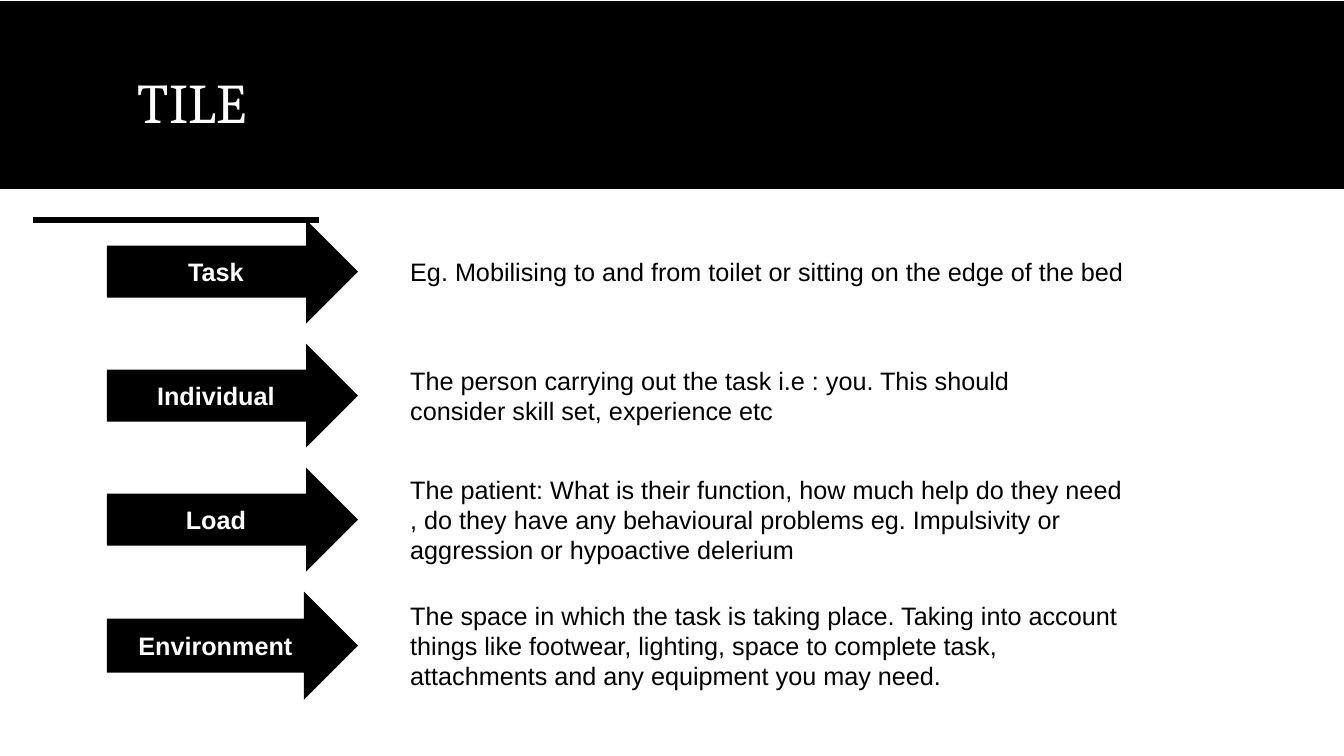
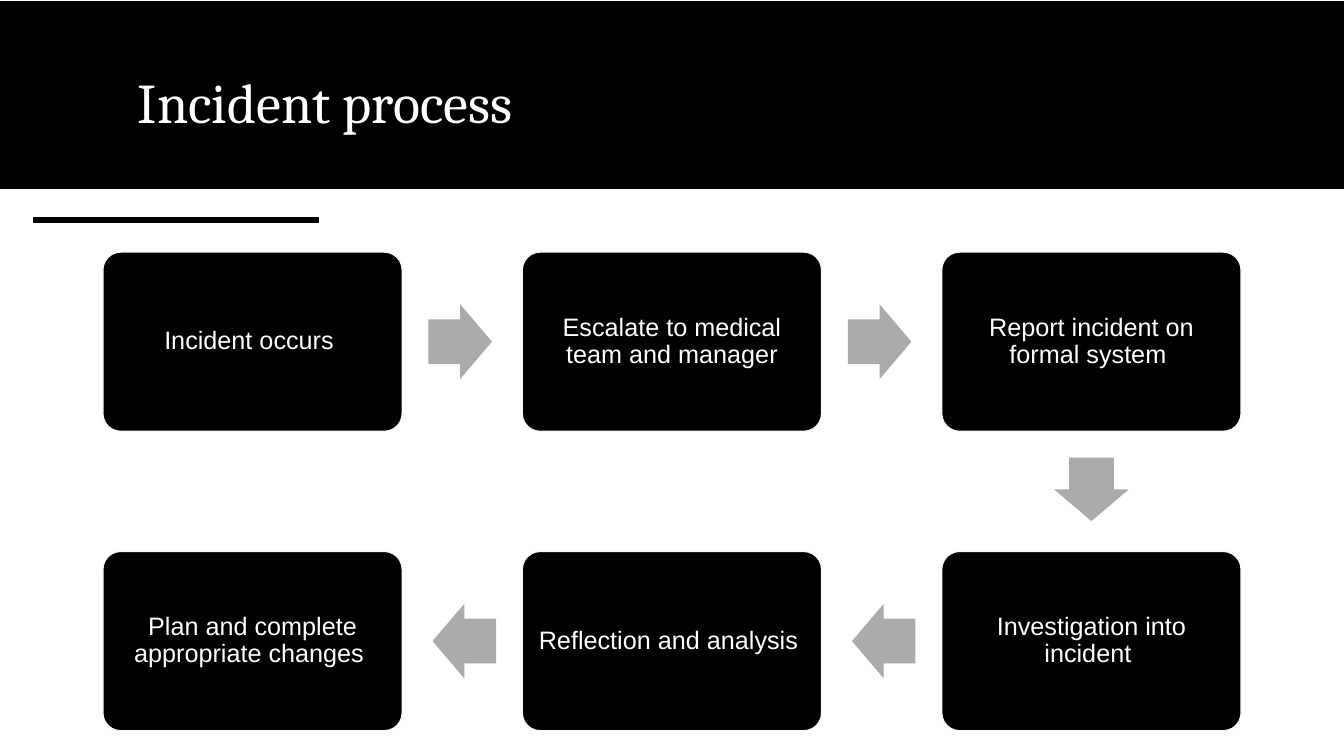
import math
from itertools import pairwise

from lxml import etree
from pptx import Presentation
from pptx.dml.color import RGBColor
from pptx.enum.shapes import MSO_CONNECTOR, MSO_SHAPE
from pptx.enum.text import MSO_ANCHOR, PP_ALIGN
from pptx.oxml.ns import qn
from pptx.util import Inches, Pt

RECTANGLE = MSO_SHAPE.RECTANGLE
ROUNDED = MSO_SHAPE.ROUNDED_RECTANGLE
ARROW = MSO_SHAPE.RIGHT_ARROW
STRAIGHT = MSO_CONNECTOR.STRAIGHT
TOP, MIDDLE = MSO_ANCHOR.TOP, MSO_ANCHOR.MIDDLE
LEFT, CENTER = PP_ALIGN.LEFT, PP_ALIGN.CENTER

BLACK, WHITE, GREY, EDGE = "000000", "FFFFFF", "ABABAB", "F8F8F8"
BODY_FONT, TITLE_FONT = "Arial", "Cambria"

TILE_ROWS = [
    ("Task ", "Eg. Mobilising to and from toilet or sitting on the edge of the bed ", 7.39, 1.03),
    ("Individual ", "The person carrying out the task i.e : you. This should consider "
     "skill set, experience etc ", 6.82, 1.03),
    ("Load ", "The patient: What is their function, how much help do they need , "
     "do they have any behavioural problems eg. Impulsivity or aggression or "
     "hypoactive delerium ", 7.31, 1.03),
    ("Environment ", "The space in which the task is taking place. Taking into account "
     "things like footwear, lighting, space to complete task, attachments and any "
     "equipment you may need. ", 7.3, 1.07),
]

INCIDENT_STEPS = [
    ("Incident occurs ", 0, 0),
    ("Escalate to medical team and manager", 1, 0),
    ("Report incident on formal system ", 2, 0),
    ("Investigation into incident ", 2, 1),
    ("Reflection and analysis ", 1, 1),
    ("Plan and complete appropriate changes ", 0, 1),
]


def color(code):
    return RGBColor.from_string(code)


def add_block(page, kind, box, fill, line=None):
    shape = page.shapes.add_shape(kind, *map(Inches, box))
    shape.shadow.inherit = False
    shape.fill.solid()
    shape.fill.fore_color.rgb = color(fill)
    if line:
        shape.line.color.rgb = color(line)
        shape.line.width = Pt(1)
    else:
        shape.line.fill.background()
    return shape


def write(shape, text, ink, size=18, font=BODY_FONT, bold=False,
          align=LEFT, anchor=MIDDLE, spacing=None, inset=None):
    frame = shape.text_frame
    frame.word_wrap = True
    frame.vertical_anchor = anchor
    if inset is not None:
        frame.margin_left = frame.margin_right = Inches(inset)
        frame.margin_top = frame.margin_bottom = Inches(inset)
    para = frame.paragraphs[0]
    para.alignment = align
    if spacing:
        para.line_spacing = spacing
    span = para.add_run()
    span.text = text
    span.font.name = font
    span.font.size = Pt(size)
    span.font.bold = bold
    span.font.color.rgb = color(ink)


def add_text(page, box, text, ink, **style):
    write(page.shapes.add_textbox(*map(Inches, box)), text, ink, **style)


def add_page(deck, title):
    page = deck.slides.add_slide(deck.slide_layouts[6])
    add_block(page, RECTANGLE, (0, 0.02, 13.33, 1.85), BLACK, BLACK)
    rule = page.shapes.add_connector(
        STRAIGHT, Inches(0.33), Inches(2.18), Inches(3.16), Inches(2.18))
    rule.line.color.rgb = color(BLACK)
    rule.line.width = Pt(4.5)
    etree.SubElement(rule._element.spPr, qn("a:effectLst"))
    add_text(page, (1.27, 0.7, 10.81, 0.98), title, WHITE, size=40,
             font=TITLE_FONT, anchor=TOP, spacing=0.9)
    return page


def add_arrow_rows(page, left, top, rows):
    arrow_width, text_offset, gap = 2.49, 2.91, 0.2
    for label, detail, text_width, height in rows:
        arrow = add_block(page, ARROW, (left, top, arrow_width, height), BLACK)
        write(arrow, label, WHITE, bold=True, align=CENTER)
        add_text(page, (left + text_offset, top, text_width, height), detail, BLACK)
        top += height + gap


def add_flow_arrow(page, start, end):
    width, height, setback = 0.63, 0.74, 0.02
    angle = math.atan2(end[1] - start[1], end[0] - start[0])
    center_x = (start[0] + end[0]) / 2 - setback * math.cos(angle)
    center_y = (start[1] + end[1]) / 2 - setback * math.sin(angle)
    box = (center_x - width / 2, center_y - height / 2, width, height)
    arrow = add_block(page, ARROW, box, GREY)
    arrow.adjustments[0] = 0.6
    arrow.adjustments[1] = 0.5
    arrow.rotation = math.degrees(angle)


def add_flow(page, left, top, steps):
    width, height, pitch_x, pitch_y = 2.97, 1.78, 4.16, 2.97
    centers = []
    for text, column, row in steps:
        x, y = left + column * pitch_x, top + row * pitch_y
        card = add_block(page, ROUNDED, (x, y, width, height), BLACK, EDGE)
        card.adjustments[0] = 0.1
        write(card, text, WHITE, align=CENTER, spacing=0.9, inset=0.07)
        centers.append((x + width / 2, y + height / 2))
    for start, end in pairwise(centers):
        add_flow_arrow(page, start, end)


def main():
    deck = Presentation()
    deck.slide_width = Inches(13.33)
    deck.slide_height = Inches(7.5)
    add_arrow_rows(add_page(deck, "TILE"), 1.06, 2.18, TILE_ROWS)
    add_flow(add_page(deck, "Incident process "), 1.02, 2.5, INCIDENT_STEPS)
    deck.save("out.pptx")


if __name__ == "__main__":
    main()
